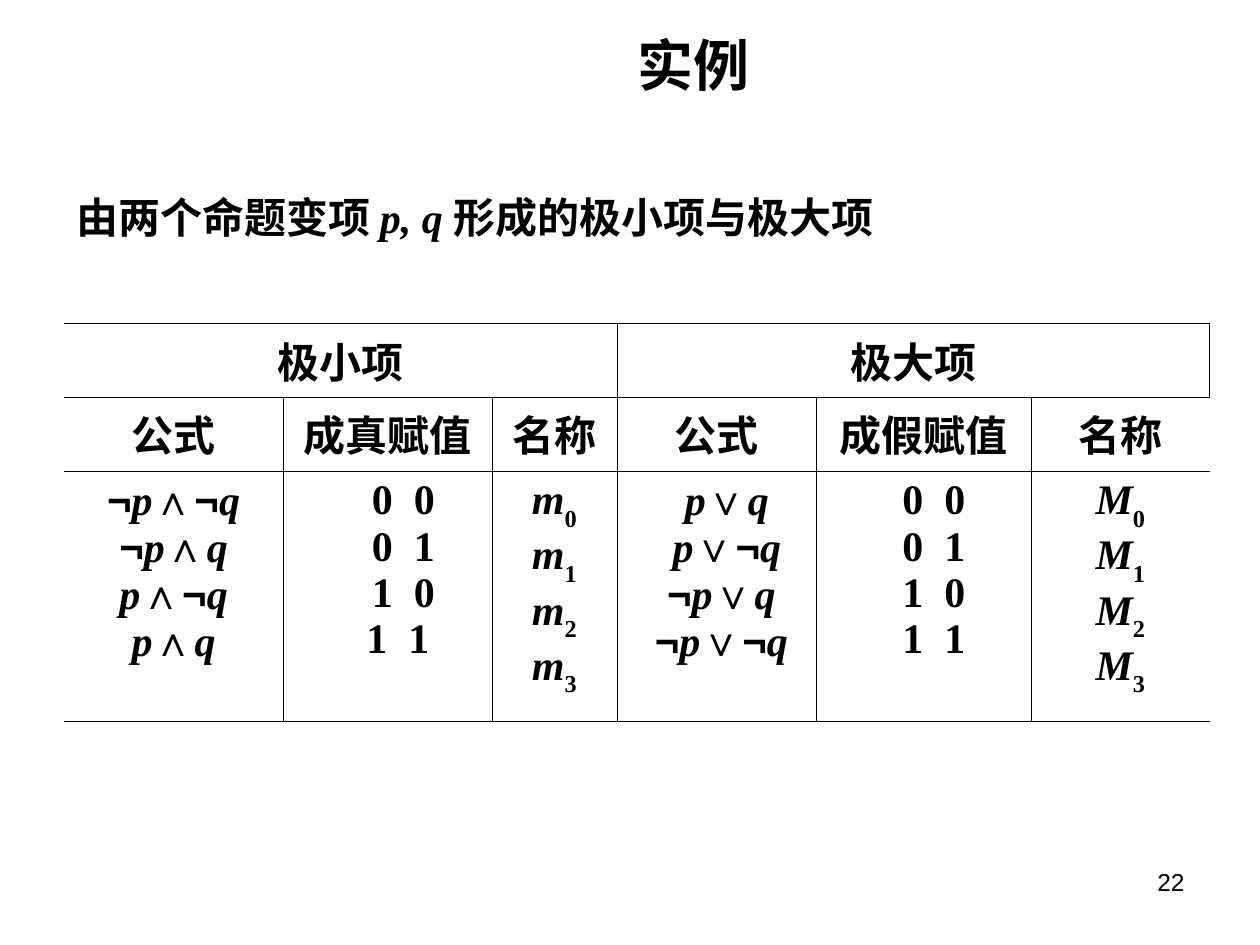
from dataclasses import dataclass

import pptx
import pptx.dml.color
import pptx.enum.text
import pptx.oxml
import pptx.oxml.ns
import pptx.util

EMU_PER_PX = 914400 / 126
ARIAL, TIMES, CJK = "Arial", "Times New Roman", "Noto Sans CJK SC"
BLACK = "000000"
ALIGN = pptx.enum.text.PP_ALIGN
ANCHOR = pptx.enum.text.MSO_ANCHOR


@dataclass
class Run:
    text: str
    font: str = TIMES
    size: int = 24
    bold: bool = True
    italic: bool = False
    baseline: int = 0
    spacing: int = 0


@dataclass
class Para:
    runs: list[Run]
    align: ALIGN = ALIGN.CENTER
    left: int = 0
    indent: int = 0
    before: int = 0


def px(n: int) -> int:
    return round(n * EMU_PER_PX)


def rgb(value: str) -> pptx.dml.color.RGBColor:
    return pptx.dml.color.RGBColor.from_string(value)


def write(tf, paras: list[Para]) -> None:
    for i, para in enumerate(paras):
        p = tf.add_paragraph() if i else tf.paragraphs[0]
        p.alignment = para.align
        p.space_before = pptx.util.Pt(para.before)
        pPr = p._p.get_or_add_pPr()
        pPr.set("marL", str(px(para.left)))
        pPr.set("indent", str(px(para.indent)))
        for run in para.runs:
            r = p.add_run()
            r.text = run.text
            r.font.name = run.font
            r.font.size = pptx.util.Pt(run.size)
            r.font.bold = run.bold
            r.font.italic = run.italic
            r.font.color.rgb = rgb(BLACK)
            rPr = r._r.get_or_add_rPr()
            rPr.append(pptx.oxml.parse_xml(
                f'<a:ea {pptx.oxml.ns.nsdecls("a")} typeface="{CJK}"/>'))
            if run.baseline:
                rPr.set("baseline", str(run.baseline * 1000))
            if run.spacing:
                rPr.set("spc", str(run.spacing * 100))


def add_text(s, x: int, y: int, w: int, h: int, para: Para, anchor=ANCHOR.TOP) -> None:
    tf = s.shapes.add_textbox(px(x), px(y), px(w), px(h)).text_frame
    tf.word_wrap = True
    tf.vertical_anchor = anchor
    write(tf, [para])


def set_borders(cell, first: bool, last: bool) -> None:
    tcPr = cell._tc.get_or_add_tcPr()
    hidden = {"lnL": first, "lnR": last}
    for i, side in enumerate(("lnL", "lnR", "lnT", "lnB")):
        fill = ("<a:noFill/>" if hidden.get(side)
                else f'<a:solidFill><a:srgbClr val="{BLACK}"/></a:solidFill>')
        tcPr.insert(i, pptx.oxml.parse_xml(
            f'<a:{side} {pptx.oxml.ns.nsdecls("a")} w="5715">{fill}</a:{side}>'))


def formula(text: str, left: int = 0) -> Para:
    return Para([Run(c, TIMES, italic=True) if c in "pq" else Run(c, ARIAL)
                 for c in text], left=left)


def assignment(bits: str, left: int) -> Para:
    return Para([Run(bits[0]), Run(" ", spacing=6), Run(bits[1])], left=left)


def names(letter: str) -> list[Para]:
    return [Para([Run(letter, italic=True), Run(str(n), baseline=-30)])
            for n in range(4)]


GROUPS = ["极小项", "极大项"]
HEADINGS = ["公式", "成真赋值", "名称", "公式", "成假赋值", "名称"]
COLUMNS = [219, 209, 125, 199, 215, 179]
ROWS = [74, 74, 250]
BITS = ["00", "01", "10", "11"]
BODY = [
    [formula(t) for t in ("¬p∧¬q", "¬p∧q", "p∧¬q", "p∧q")],
    [assignment(b, left) for b, left in zip(BITS, (32, 32, 32, 21))],
    names("m"),
    [formula(t, left) for t, left in
     (("p∨q", 21), ("p∨¬q", 21), ("¬p∨q", 10), ("¬p∨¬q", 10))],
    [assignment(b, 21) for b in BITS],
    names("M"),
]


def add_terms_table(s) -> None:
    table = s.shapes.add_table(len(ROWS), len(COLUMNS), px(64), px(323),
                               px(sum(COLUMNS)), px(sum(ROWS))).table
    table.first_row = table.horz_banding = False
    for row, h in zip(table.rows, ROWS):
        row.height = px(h)
    for c, w in enumerate(COLUMNS):
        table.columns[c].width = px(w)
        for r in range(len(ROWS)):
            cell = table.cell(r, c)
            cell.fill.background()
            set_borders(cell, c == 0, c == len(COLUMNS) - 1)
        write(table.cell(1, c).text_frame, [Para([Run(HEADINGS[c], CJK)])])
        write(table.cell(2, c).text_frame, BODY[c])
    for i, group in enumerate(GROUPS):
        cell = table.cell(0, 3 * i)
        cell.merge(table.cell(0, 3 * i + 2))
        write(cell.text_frame, [Para([Run(group, CJK)])])


def main() -> None:
    prs = pptx.Presentation()
    prs.slide_width, prs.slide_height = px(1260), px(945)
    s = prs.slides.add_slide(prs.slide_layouts[6])
    add_text(s, 272, 35, 843, 58, Para([Run("实例", ARIAL, 32)]), ANCHOR.MIDDLE)
    add_text(s, 64, 185, 1134, 73, Para(
        [Run("由两个命题变项 ", ARIAL), Run("p, q ", italic=True),
         Run("形成的极小项与极大项", ARIAL)],
        ALIGN.JUSTIFY, left=48, indent=-48, before=6))
    add_terms_table(s)
    add_text(s, 903, 861, 294, 66,
             Para([Run("22", ARIAL, 14, bold=False)], ALIGN.RIGHT))
    prs.save("out.pptx")


if __name__ == "__main__":
    main()
